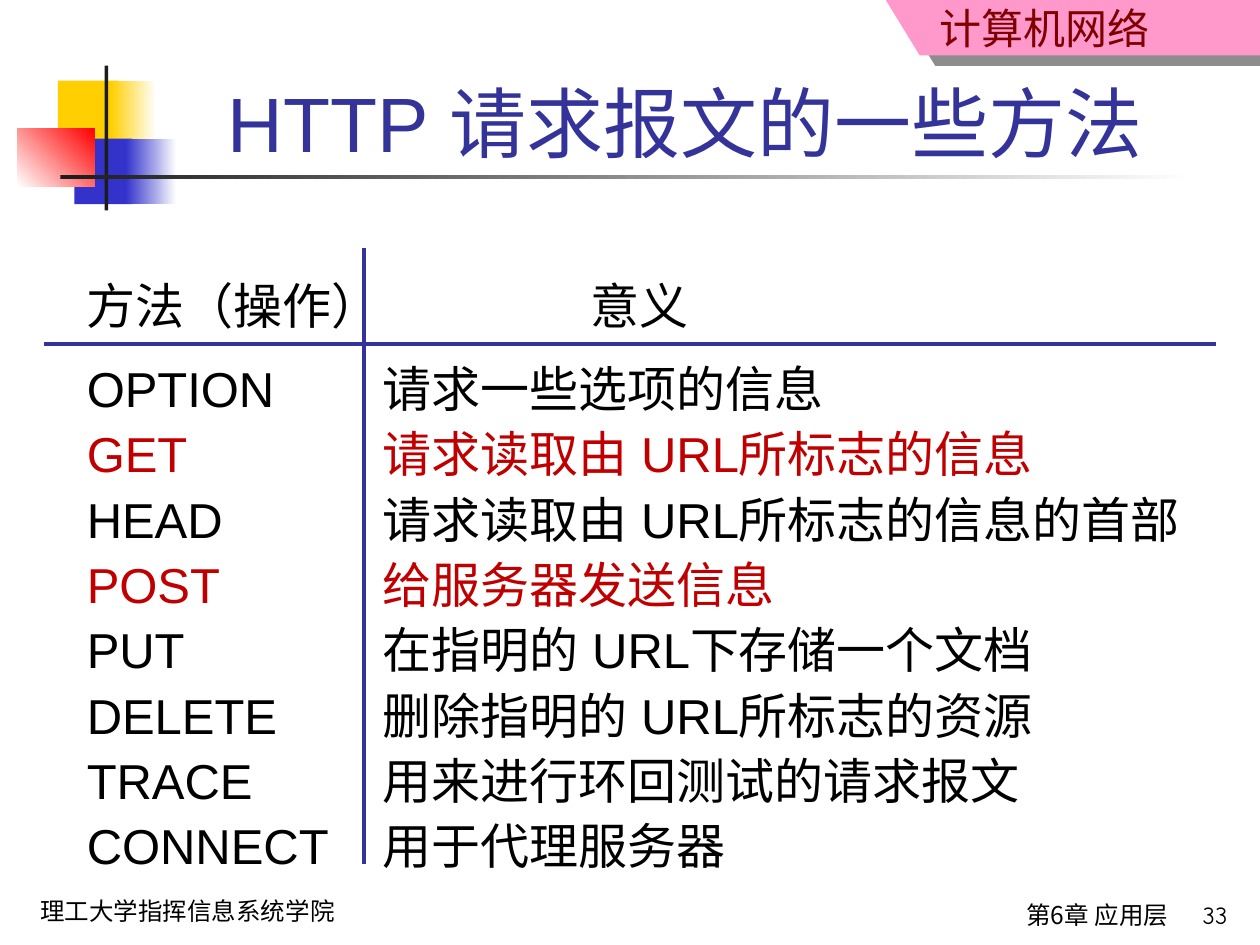
from lxml import etree
from pptx import Presentation
from pptx.dml.color import RGBColor
from pptx.enum.shapes import MSO_CONNECTOR, MSO_SHAPE
from pptx.enum.text import MSO_ANCHOR, PP_ALIGN
from pptx.oxml.ns import qn
from pptx.util import Emu, Inches, Pt

RECTANGLE = MSO_SHAPE.RECTANGLE
STRAIGHT = MSO_CONNECTOR.STRAIGHT
TOP, BOTTOM = MSO_ANCHOR.TOP, MSO_ANCHOR.BOTTOM
LEFT, CENTER, RIGHT = PP_ALIGN.LEFT, PP_ALIGN.CENTER, PP_ALIGN.RIGHT

WIDTH, HEIGHT = Inches(10), Inches(7.5)
COLUMN, ROW = WIDTH / 100, HEIGHT / 75  # fine grid of 100 columns and 75 rows

COLORS = {
    "yellow": "FFCF01", "blue": "3333CC", "red": "FF0000", "white": "FFFFFF",
    "dark": "1C1C1C", "ribbon": "FF99CC", "maroon": "800000",
    "navy": "333399", "black": "000000", "highlight": "C00000",
}
LATIN, COMIC, CHINESE = "Arial", "Comic Neue", "Noto Sans CJK SC"

MEANING_TAB, HEADING_TAB = 23.5, 40
METHODS = [
    ("OPTION", "请求一些选项的信息", "black"),
    ("GET", "请求读取由 URL所标志的信息", "highlight"),
    ("HEAD", "请求读取由 URL所标志的信息的首部", "black"),
    ("POST", "给服务器发送信息", "highlight"),
    ("PUT", "在指明的 URL下存储一个文档", "black"),
    ("DELETE", "删除指明的 URL所标志的资源", "black"),
    ("TRACE", "用来进行环回测试的请求报文", "black"),
    ("CONNECT", "用于代理服务器", "black"),
]


def color(name):
    return RGBColor.from_string(COLORS[name])


def place(left, top, width, height):
    """Turn grid columns and rows into slide lengths."""
    return (Emu(round(left * COLUMN)), Emu(round(top * ROW)),
            Emu(round(width * COLUMN)), Emu(round(height * ROW)))


def add_block(slide, area, start, end=None, angle=0):
    """Add a borderless rectangle, plain or fading from start to end."""
    shape = slide.shapes.add_shape(RECTANGLE, *place(*area))
    shape.shadow.inherit = False
    shape.line.fill.background()
    if end is None:
        shape.fill.solid()
        shape.fill.fore_color.rgb = color(start)
        return
    shape.fill.gradient()
    shape.fill.gradient_angle = angle
    for stop, name in zip(shape.fill.gradient_stops, (start, end)):
        stop.color.rgb = color(name)


def add_ribbon(slide):
    corners = [(70.3, 0), (73, 4.4), (100, 4.4), (100, 0)]
    points = [place(x, y, 0, 0)[:2] for x, y in corners]
    builder = slide.shapes.build_freeform(*points[0])
    builder.add_line_segments(points[1:], close=True)
    shape = builder.convert_to_shape()
    shape.fill.solid()
    shape.fill.fore_color.rgb = color("ribbon")
    shape.line.fill.background()
    shape.shadow.inherit = False
    effects = shape._element.spPr.find(qn("a:effectLst"))
    shadow = etree.SubElement(effects, qn("a:outerShdw"), blurRad="0",
                              dist=str(Pt(10.8)), dir=str(34 * 60000),
                              algn="ctr", rotWithShape="0")
    tint = etree.SubElement(shadow, qn("a:srgbClr"), val=COLORS["dark"])
    etree.SubElement(tint, qn("a:alpha"), val="50000")


def add_line(slide, start, end):
    connector = slide.shapes.add_connector(
        STRAIGHT, *place(*start, 0, 0)[:2], *place(*end, 0, 0)[:2])
    connector.line.color.rgb = color("navy")
    connector.line.width = Pt(2.25)
    etree.SubElement(connector._element.spPr, qn("a:effectLst"))


def add_frame(slide, area, anchor=TOP, top_inset=0.05):
    frame = slide.shapes.add_textbox(*place(*area)).text_frame
    frame.word_wrap = True
    frame.vertical_anchor = anchor
    frame.margin_top = Inches(top_inset)
    return frame


def write(paragraph, text, *, size, name, font, align=LEFT, line=None,
          before=0, after=0, tab=None):
    """Fill a paragraph; line, before and after are points, tab is columns."""
    if tab is not None:
        tabs = etree.SubElement(paragraph._p.get_or_add_pPr(), qn("a:tabLst"))
        etree.SubElement(tabs, qn("a:tab"), pos=str(round(tab * COLUMN)), algn="l")
    paragraph.alignment = align
    paragraph.space_before, paragraph.space_after = Pt(before), Pt(after)
    if line is not None:
        paragraph.line_spacing = Pt(line)
    run = paragraph.add_run()
    run.text = text
    run.font.size = Pt(size)
    run.font.name = font
    run.font.color.rgb = color(name)
    latin = run.font._element.find(qn("a:latin"))
    latin.addnext(etree.Element(qn("a:ea"), typeface=font))


def add_emblem(slide):
    add_block(slide, (4.6, 6.4, 4.8, 5.2), "yellow")
    add_block(slide, (8.8, 6.4, 3.6, 5.2), "yellow", "white")
    add_block(slide, (5.9, 11, 4.6, 5.2), "blue")
    add_block(slide, (10, 11, 4, 5.2), "blue", "white")
    add_block(slide, (1.4, 10.2, 6.1, 4.6), "white", "red", angle=45)
    add_block(slide, (8.3, 5.2, 0.3, 11.5), "dark")
    add_block(slide, (4.8, 13.9, 90, 0.3), "dark", "white")


def add_labels(slide):
    write(add_frame(slide, (2.2, 70.6, 31.1, 3.4)).paragraphs[0],
          "理工大学指挥信息系统学院", size=14, name="black", font=COMIC)
    write(add_frame(slide, (58.2, 0, 34, 4.5), top_inset=0).paragraphs[0],
          "计算机网络", size=24, name="maroon", font=CHINESE, align=RIGHT, line=30)
    write(add_frame(slide, (42.9, 70.9, 50.8, 4.1)).paragraphs[0],
          "第6章 应用层", size=14, name="black", font=CHINESE, align=RIGHT)
    write(add_frame(slide, (90.5, 70.9, 7.9, 3.8)).paragraphs[0],
          "33", size=14, name="black", font=COMIC, align=RIGHT)
    write(add_frame(slide, (11.8, 2.3, 85.2, 11.5), BOTTOM).paragraphs[0],
          "HTTP 请求报文的一些方法", size=44, name="navy", font=LATIN, align=CENTER)


def add_methods(slide):
    frame = add_frame(slide, (5.9, 21.8, 92.1, 50.4))
    body = {"size": 28, "font": LATIN, "line": 30.3}
    write(frame.paragraphs[0], "方法（操作）\t意义", name="black",
          after=10.5, tab=HEADING_TAB, **body)
    for method, meaning, name in METHODS:
        write(frame.add_paragraph(), f"{method}\t{meaning}", name=name,
              before=7, tab=MEANING_TAB, **body)
    add_line(slide, (3.5, 27.3), (96.5, 27.3))
    add_line(slide, (28.9, 19.7), (28.9, 68.6))


def main():
    presentation = Presentation()
    presentation.slide_width, presentation.slide_height = WIDTH, HEIGHT
    slide = presentation.slides.add_slide(presentation.slide_layouts[6])
    add_emblem(slide)
    add_ribbon(slide)
    add_labels(slide)
    add_methods(slide)
    presentation.save("out.pptx")


if __name__ == "__main__":
    main()
